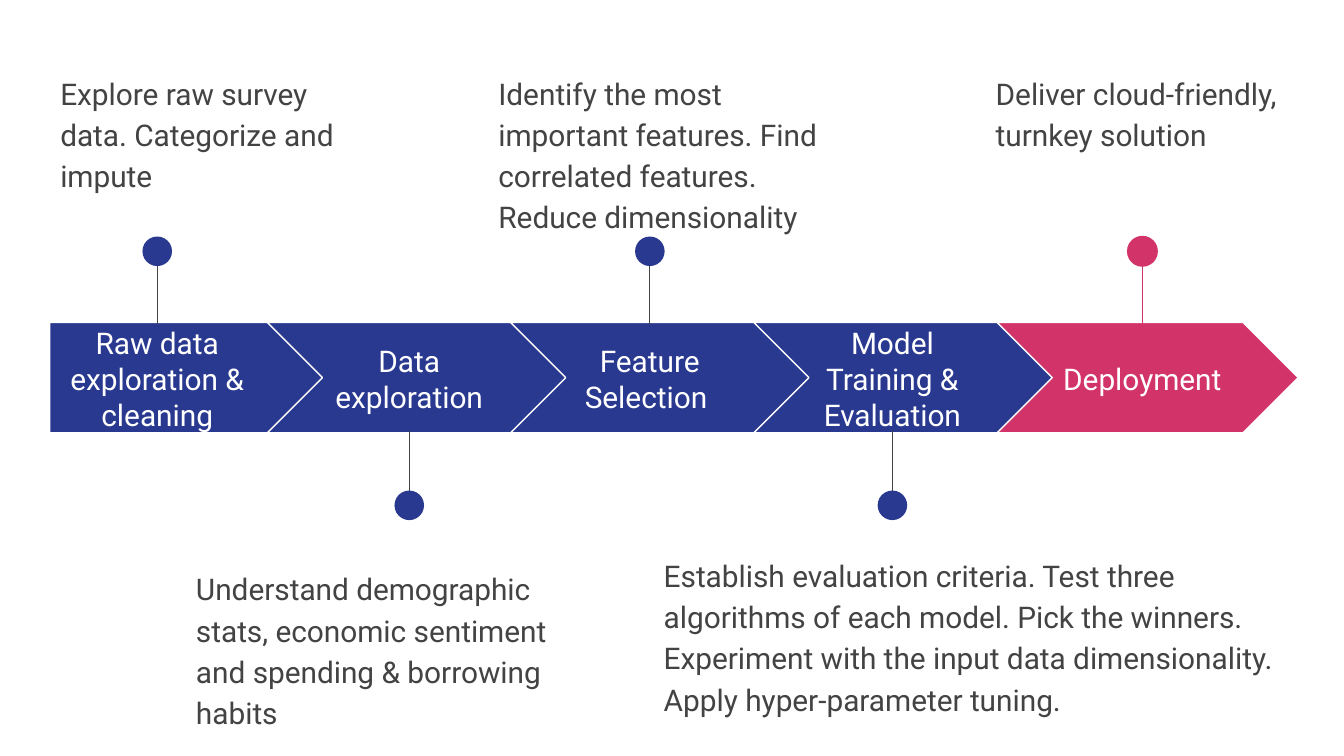
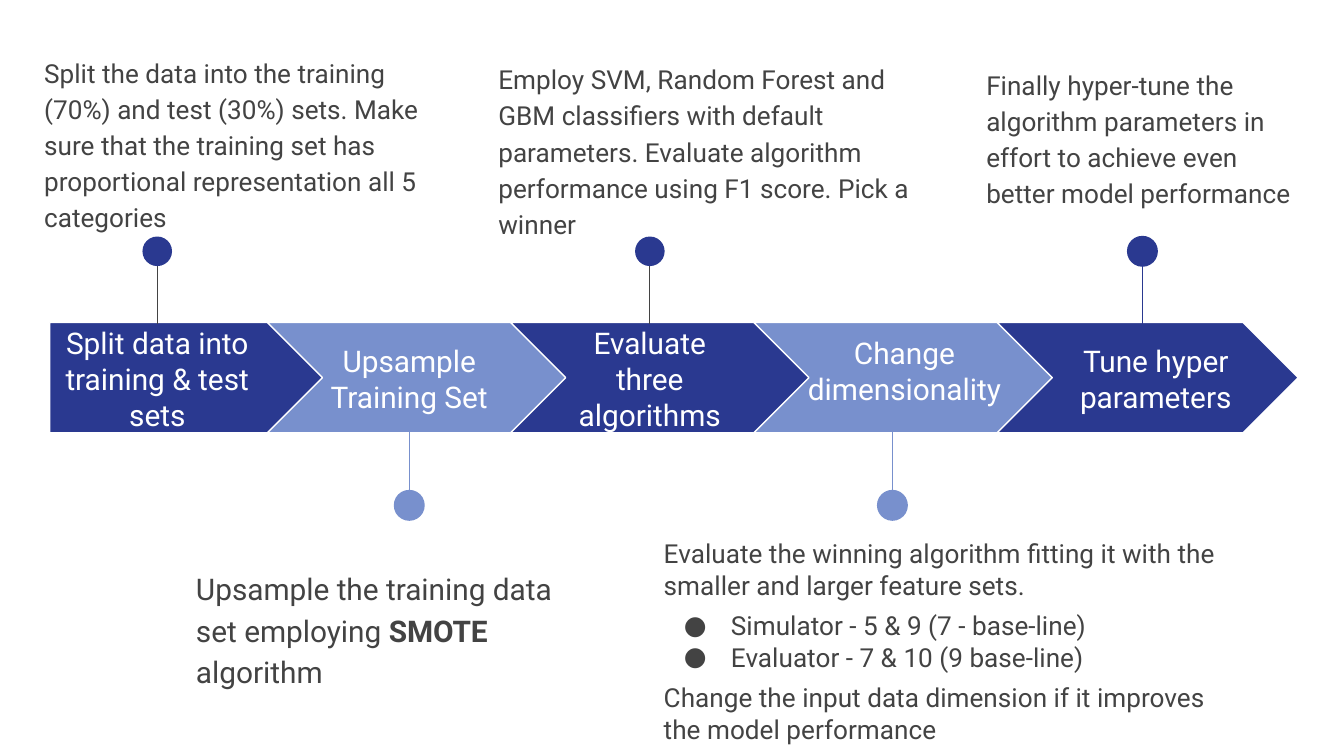
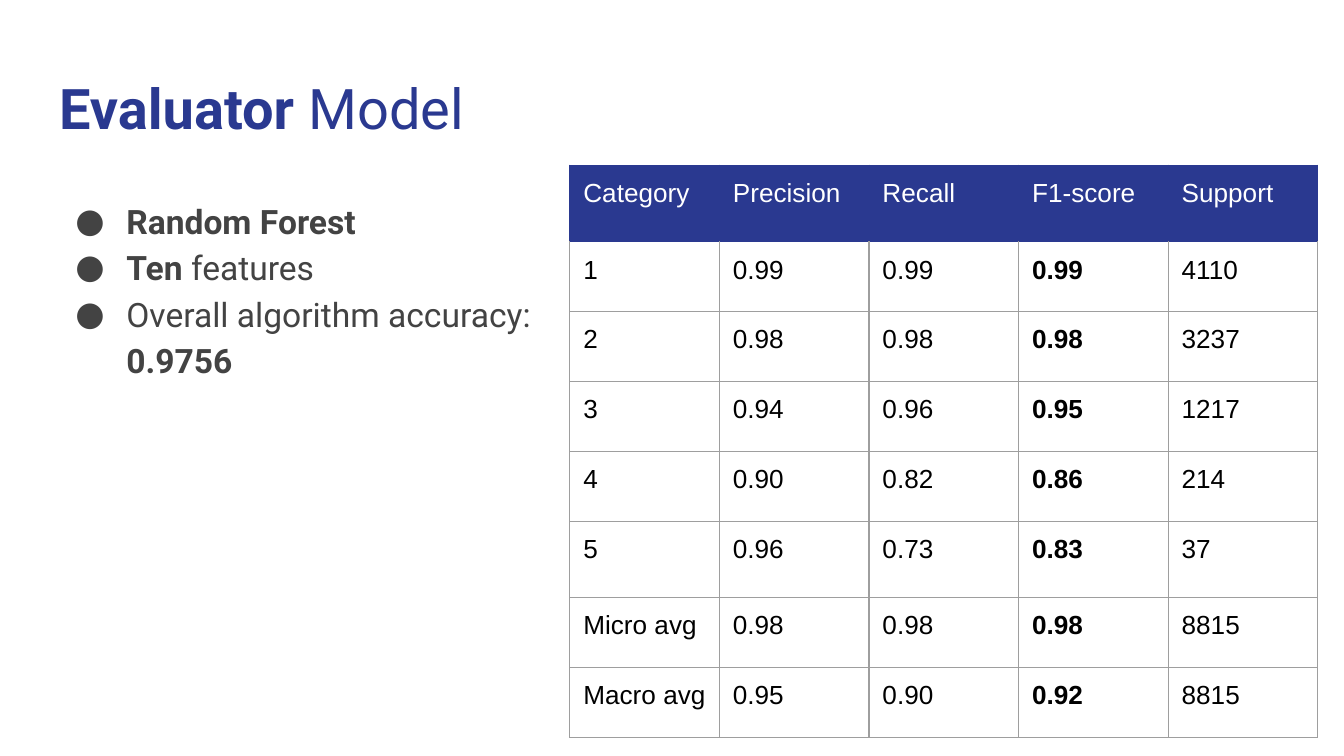
import pptx
import pptx.dml.color
import pptx.enum.shapes
import pptx.enum.text
import pptx.oxml.ns
import pptx.util
from lxml import etree

SHAPE = pptx.enum.shapes.MSO_SHAPE
ALIGN = pptx.enum.text.PP_ALIGN
ANCHOR = pptx.enum.text.MSO_ANCHOR

NAVY, SKY, PINK = "2A3990", "7890CD", "D23369"
INK, WHITE, BLACK, RULE = "434343", "FFFFFF", "000000", "9E9E9E"
TITLE_LAYOUT, BLANK_LAYOUT = 1, 6

# The grid has 100 columns; its rows are as high as a column is wide.
STAGE_TOP, STAGE_HEIGHT, STAGE_WIDTH, STAGE_STEP = 24, 8.2, 22.4, 18.1
STAGE_LEFT, FIRST_LEFT, FIRST_WIDTH = 1.8, 3.7, 20.5
PIN_CENTRES = (11.7, 30.45, 48.35, 66.4, 85)
LABEL_TOP, LABEL_HEIGHT = 25.6, 5.1
DOT = 2.2


def rgb(colour):
    return pptx.dml.color.RGBColor.from_string(colour)


def child(parent, tag, **attributes):
    return etree.SubElement(parent, pptx.oxml.ns.qn(tag), **attributes)


class Deck:
    def __init__(self):
        self.show = pptx.Presentation()
        self.show.slide_width = pptx.util.Inches(10)
        self.show.slide_height = self.show.slide_width * 9 // 16
        self.unit = self.show.slide_width // 100
        self.font = "Roboto"

    def new_slide(self, layout):
        self.slide = self.show.slides.add_slide(self.show.slide_layouts[layout])

    def grid(self, *lengths):
        return [round(length * self.unit) for length in lengths]

    def frame(self, holder, anchor=ANCHOR.TOP):
        """Give a text holder the shared margins, wrapping and anchor."""
        frame = holder.text_frame
        frame.auto_size = pptx.enum.text.MSO_AUTO_SIZE.NONE
        frame.word_wrap = True
        frame.vertical_anchor = anchor
        frame.margin_left = frame.margin_right = self.unit
        frame.margin_top = frame.margin_bottom = self.unit
        return frame

    def text_box(self, place, anchor=ANCHOR.TOP):
        return self.frame(self.slide.shapes.add_textbox(*self.grid(*place)), anchor)

    def placeholder(self, index, place):
        holder = self.slide.placeholders[index]
        holder.left, holder.top, holder.width, holder.height = self.grid(*place)
        return self.frame(holder)

    def add_text(self, frame, text, size=16, colour=INK, align=ALIGN.LEFT, spacing=1.0,
                 before=0, after=0, bullet_indent=None, font=None):
        """Append a paragraph; parts between ** marks are bold."""
        paragraph = frame.paragraphs[0]
        if paragraph.runs:
            paragraph = frame.add_paragraph()
        paragraph.alignment = align
        paragraph.line_spacing = spacing
        paragraph.space_before = pptx.util.Pt(before)
        paragraph.space_after = pptx.util.Pt(after)
        if bullet_indent:
            margin, indent = self.grid(5, -bullet_indent)
            properties = paragraph._p.get_or_add_pPr()
            properties.set("marL", str(margin))
            properties.set("indent", str(indent))
            child(child(properties, "a:buClr"), "a:srgbClr", val=colour)
            child(properties, "a:buFont", typeface=self.font)
            child(properties, "a:buChar", char="●")
        for number, part in enumerate(text.split("**")):
            if part:
                run = paragraph.add_run()
                run.text = part
                run.font.name = font or self.font
                run.font.size = pptx.util.Pt(size)
                run.font.bold = number % 2 == 1
                run.font.color.rgb = rgb(colour)

    def shape(self, shapes, kind, place, fill, outline=None):
        shape = shapes.add_shape(kind, *self.grid(*place))
        shape.shadow.inherit = False
        shape.fill.solid()
        shape.fill.fore_color.rgb = rgb(fill)
        if outline:
            shape.line.color.rgb = rgb(outline)
            shape.line.width = pptx.util.Pt(0.75)
        else:
            shape.line.fill.background()

    def pin(self, centre, above, fill, stem):
        """Join a stage to its note with a stem that ends in a dot."""
        shapes = self.slide.shapes.add_group_shape().shapes
        start, end, dot_top = (18, 24.1, 17.6) if above else (38.2, 32.1, 36.5)
        line = shapes.add_connector(pptx.enum.shapes.MSO_CONNECTOR.STRAIGHT,
                                    *self.grid(centre, start, centre, end))
        line.line.color.rgb = rgb(stem)
        line.line.width = pptx.util.Pt(0.75)
        child(line._element.spPr, "a:effectLst")
        self.shape(shapes, SHAPE.OVAL, (centre - DOT / 2, dot_top, DOT, DOT), fill,
                   outline=fill if stem == fill else None)

    def stage(self, number, label, fill, stem, label_place=None):
        left, width, kind = STAGE_LEFT + number * STAGE_STEP, STAGE_WIDTH, SHAPE.CHEVRON
        label_width = 14.4
        if number == 0:
            left, width, kind = FIRST_LEFT, FIRST_WIDTH, SHAPE.PENTAGON
            label_width = 15.9
        centre = PIN_CENTRES[number]
        self.shape(self.slide.shapes, kind, (left, STAGE_TOP, width, STAGE_HEIGHT),
                   fill, outline=WHITE)
        place = label_place or (centre - label_width / 2, LABEL_TOP, label_width, LABEL_HEIGHT)
        self.add_text(self.text_box(place, ANCHOR.MIDDLE), label, colour=WHITE,
                      align=ALIGN.CENTER)
        self.pin(centre, number % 2 == 0, fill, stem)

    def note(self, place, text, size=16):
        self.add_text(self.text_box(place), text, size=size, spacing=1.15, after=16)

    def cell(self, cell, text, colour, fill, borders):
        """Fill a cell; borders holds colours for left, right, top and bottom."""
        properties = cell._tc.get_or_add_tcPr()
        for side, border in zip("LRTB", borders):
            line = child(properties, "a:ln" + side, w=str(pptx.util.Pt(0.75)))
            child(child(line, "a:solidFill"), "a:srgbClr", val=border)
        if fill:
            cell.fill.solid()
            cell.fill.fore_color.rgb = rgb(fill)
        else:
            cell.fill.background()
        cell.margin_left = cell.margin_right = self.unit
        cell.margin_top = cell.margin_bottom = self.unit
        self.add_text(cell.text_frame, text, size=14, colour=colour, font="Arial")

    def table(self, left, top, column_width, heights, rows, bold_column):
        place = self.grid(left, top, column_width * len(rows[0]), sum(heights))
        table = self.slide.shapes.add_table(len(rows), len(rows[0]), *place).table
        table.first_row = table.horz_banding = False
        for column in table.columns:
            column.width, = self.grid(column_width)
        for r, values in enumerate(rows):
            table.rows[r].height, = self.grid(heights[r])
            for c, value in enumerate(values):
                if r == 0:
                    self.cell(table.cell(r, c), value, WHITE, NAVY, [NAVY] * 4)
                    continue
                text = f"**{value}**" if c == bold_column else value
                top_border = NAVY if r == 1 else RULE
                self.cell(table.cell(r, c), text, BLACK, None,
                          [RULE, RULE, top_border, RULE])


def project_stages(deck):
    deck.new_slide(BLANK_LAYOUT)
    labels = ("Raw data exploration & cleaning", "Data exploration", "Feature Selection ",
              "Model Training & Evaluation", "Deployment")
    for number, label in enumerate(labels):
        last = number == len(labels) - 1
        deck.stage(number, label, PINK if last else NAVY, PINK if last else INK)
    deck.note((3.5, 4.2, 24.5, 9.9), "Explore raw survey data. Categorize and impute")
    deck.note((13.6, 41.1, 28.8, 9.9), "Understand demographic stats, economic sentiment "
              "and spending & borrowing habits")
    deck.note((36.1, 4.2, 28.8, 9.9), "Identify the most important features. "
              "Find correlated features. Reduce dimensionality")
    deck.note((48.4, 40.1, 48.2, 10.9), "Establish evaluation criteria. Test three "
              "algorithms of each model. Pick the winners. Experiment with the input data "
              "dimensionality. Apply hyper-parameter tuning.")
    deck.note((73.1, 4.2, 24.5, 9.9), "Deliver cloud-friendly, turnkey solution")


def training_stages(deck):
    deck.new_slide(BLANK_LAYOUT)
    stages = (
        ("Split data into training & test sets", NAVY, INK, None),
        ("Upsample Training Set", SKY, SKY, None),
        ("Evaluate three algorithms", NAVY, INK, None),
        ("Change dimensionality", SKY, SKY, (58.3, 25, 18, LABEL_HEIGHT)),
        ("Tune hyper parameters", NAVY, NAVY, (76.3, LABEL_TOP, 19.4, LABEL_HEIGHT)),
    )
    for number, stage in enumerate(stages):
        deck.stage(number, *stage)
    deck.note((2.3, 2.9, 32.2, 12.5), "Split the data into the training (70%) and test "
              "(30%) sets. Make sure that the training set has proportional "
              "representation all 5 categories", size=14)
    deck.note((13.6, 41.1, 28.8, 9.9),
              "Upsample the training data set employing **SMOTE **algorithm")
    deck.note((36.1, 3.4, 34.6, 9.9), "Employ SVM, Random Forest and GBM classifiers with "
              "default parameters. Evaluate algorithm performance using F1 score. "
              "Pick a winner", size=14)
    deck.note((72.4, 3.8, 25.3, 11.2), "Finally hyper-tune the algorithm parameters in "
              "effort to achieve even better model performance", size=14)

    dimensions = deck.text_box((48.4, 39, 43.1, 12))
    deck.add_text(dimensions, "Evaluate the winning algorithm fitting it with the smaller "
                  "and larger feature sets.", size=14)
    deck.add_text(dimensions, "Simulator - 5 & 9 (7 - base-line)", size=14, before=5,
                  bullet_indent=3.5)
    deck.add_text(dimensions, "Evaluator - 7 & 10 (9 base-line)", size=14,
                  bullet_indent=3.5)
    deck.add_text(dimensions, "Change the input data dimension if it improves the model "
                  "performance", size=14, before=5, after=5)


def evaluator_model(deck):
    deck.new_slide(TITLE_LAYOUT)
    deck.add_text(deck.placeholder(0, (3.4, 4.5, 93.2, 6.6)), "**Evaluator **Model",
                  size=30, colour=NAVY)
    findings = deck.placeholder(1, (3.4, 13.5, 37.4, 36.5))
    for finding in ("**Random Forest**", "**Ten **features",
                    "Overall algorithm accuracy: **0.9756**"):
        deck.add_text(findings, finding, size=18, spacing=1.15, bullet_indent=3.8)
    scores = (
        ("Category", "Precision", "Recall", "F1-score", "Support"),
        ("1", "0.99", "0.99", "0.99", "4110"),
        ("2", "0.98", "0.98", "0.98", "3237"),
        ("3", "0.94", "0.96", "0.95", "1217"),
        ("4", "0.90", "0.82", "0.86", "214"),
        ("5", "0.96", "0.73", "0.83", "37"),
        ("Micro avg", "0.98", "0.98", "0.98", "8815"),
        ("Macro avg", "0.95", "0.90", "0.92", "8815"),
    )
    heights = [5.7 if row in (0, 5) else 5.2 for row in range(len(scores))]
    deck.table(42.4, 12.3, 11.13, heights, scores, bold_column=3)


def main():
    deck = Deck()
    project_stages(deck)
    training_stages(deck)
    evaluator_model(deck)
    deck.show.save("out.pptx")


if __name__ == "__main__":
    main()
